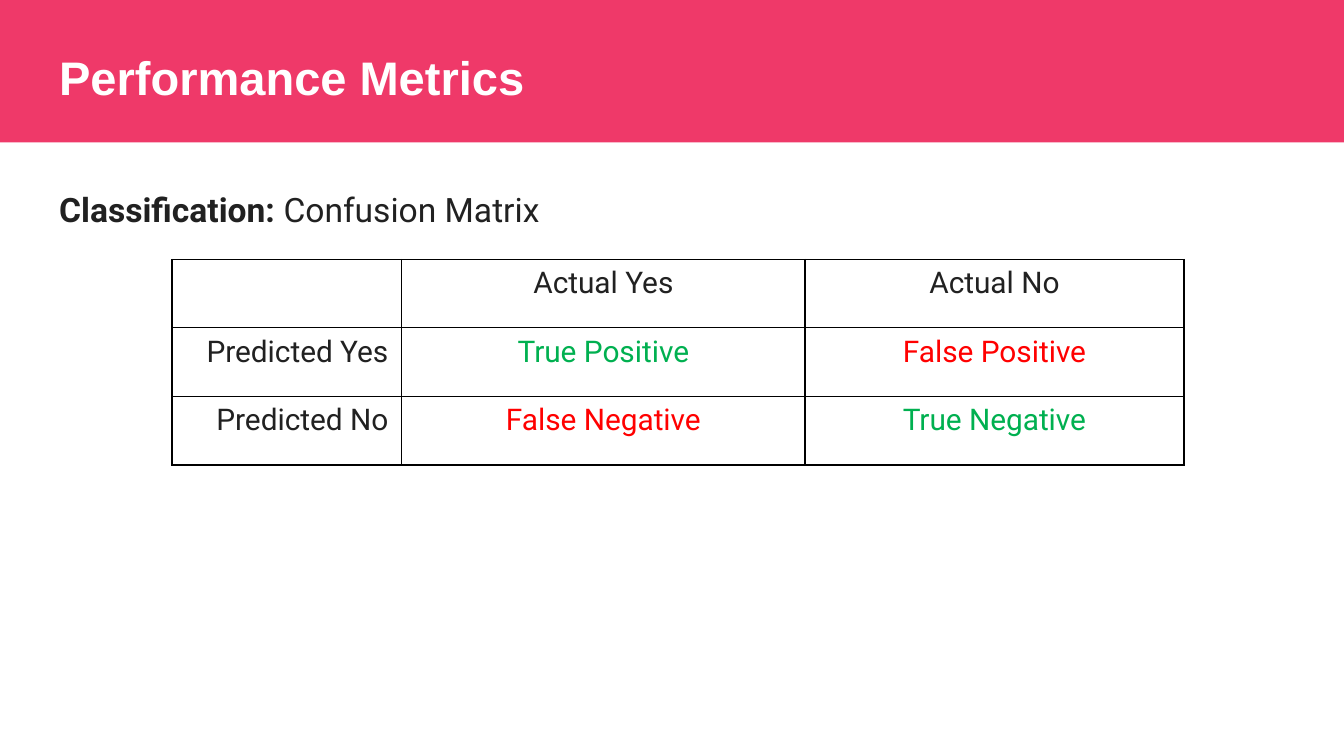
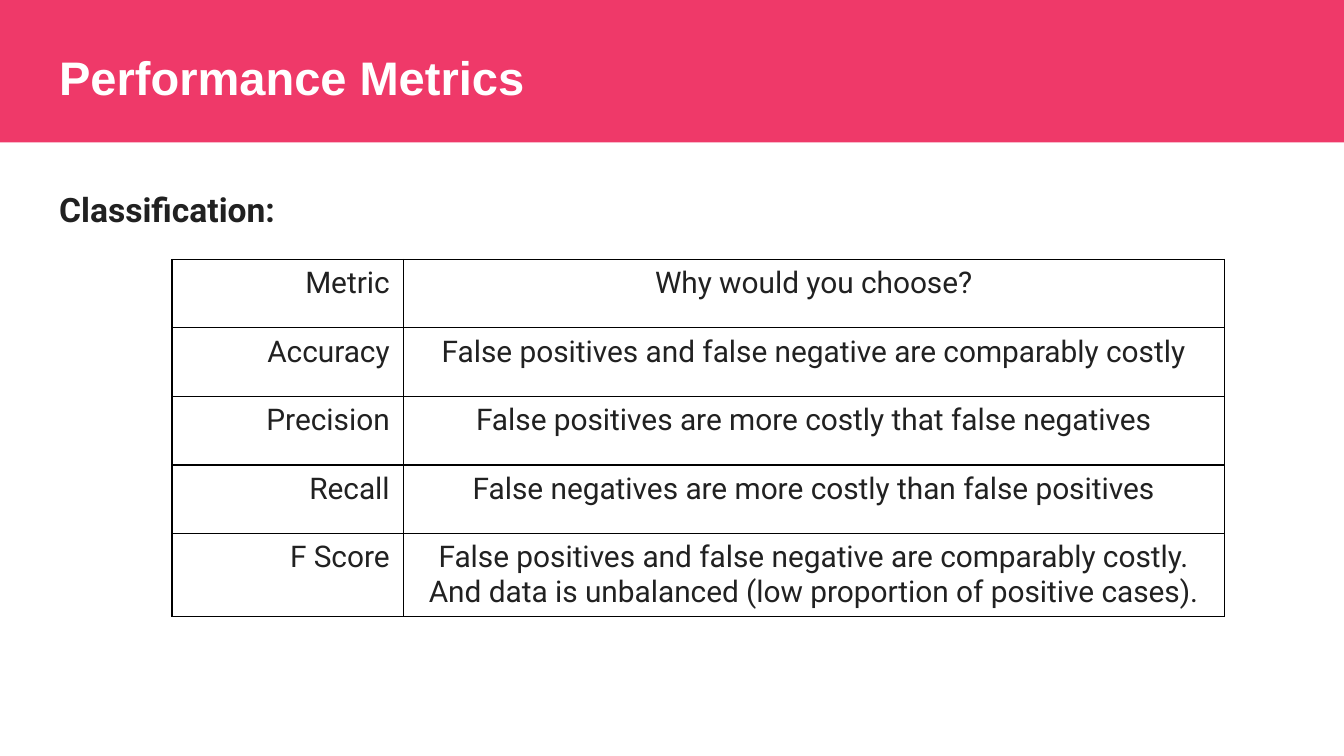
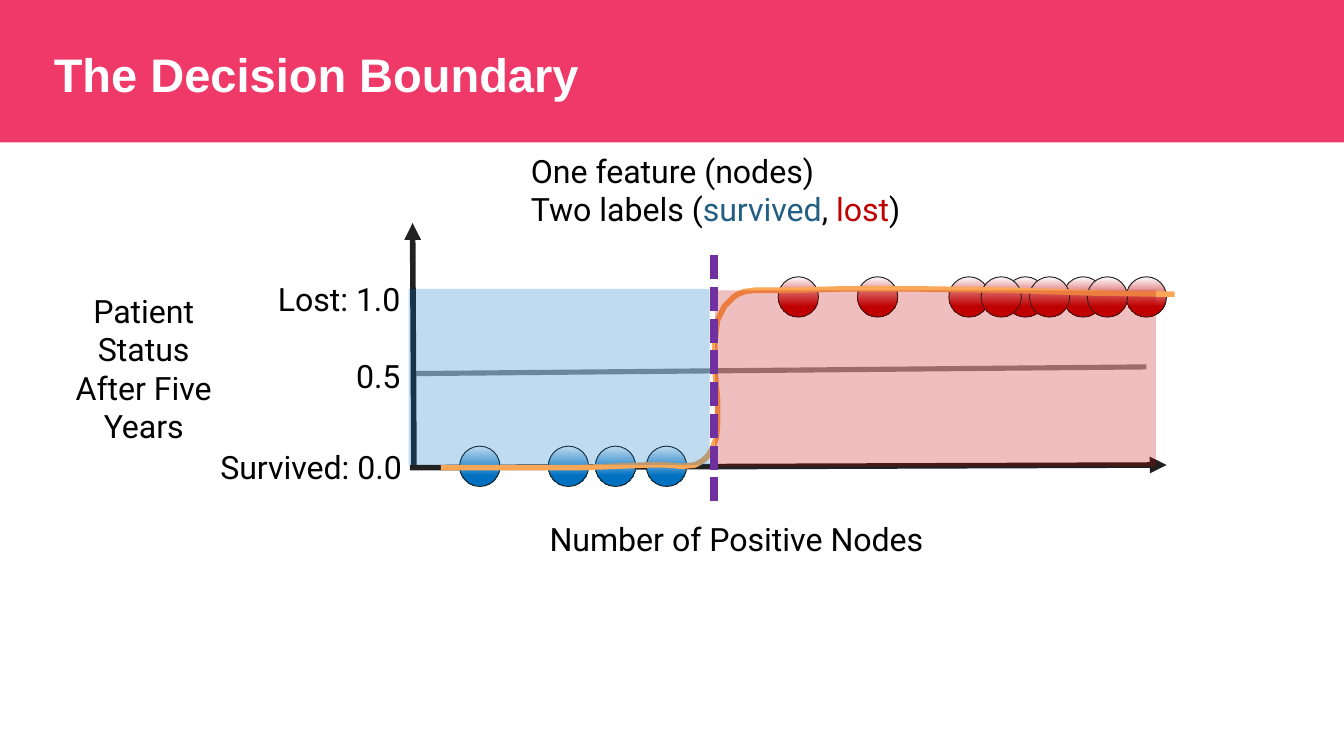
from dataclasses import dataclass

from lxml import etree
from pptx import Presentation
from pptx.dml.color import RGBColor
from pptx.enum.dml import MSO_LINE
from pptx.enum.shapes import MSO_CONNECTOR, MSO_SHAPE
from pptx.enum.text import MSO_ANCHOR, MSO_AUTO_SIZE, PP_ALIGN
from pptx.oxml.ns import qn
from pptx.util import Pt

PX = 9144  # one px is a hundredth of an inch
LEFT, CENTER, RIGHT = PP_ALIGN.LEFT, PP_ALIGN.CENTER, PP_ALIGN.RIGHT
RECTANGLE, OVAL = MSO_SHAPE.RECTANGLE, MSO_SHAPE.OVAL
SHORT_DASH = MSO_LINE.SQUARE_DOT


@dataclass(frozen=True)
class Theme:
    band: RGBColor = RGBColor(0xEF, 0x39, 0x69)
    white: RGBColor = RGBColor(0xFF, 0xFF, 0xFF)
    black: RGBColor = RGBColor(0, 0, 0)
    ink: RGBColor = RGBColor(0x21, 0x21, 0x21)
    right_answer: RGBColor = RGBColor(0, 0xB0, 0x50)
    wrong_answer: RGBColor = RGBColor(0xFF, 0, 0)
    survived: RGBColor = RGBColor(0, 0x70, 0xC0)
    survived_text: RGBColor = RGBColor(0x23, 0x5F, 0x83)
    lost: RGBColor = RGBColor(0xC0, 0, 0)
    threshold: RGBColor = RGBColor(0x90, 0x90, 0x90)
    curve: RGBColor = RGBColor(0xFA, 0xA7, 0x57)
    boundary: RGBColor = RGBColor(0x70, 0x30, 0xA0)
    title_font: str = "Arial"
    text_font: str = "Roboto"
    title_size: float = 25.2
    body_size: float = 18
    table_size: float = 16
    label_size: float = 17.2


theme = Theme()


def add_titled_slide(layout, title, left, top):
    slide = deck.slides.add_slide(layout)
    box = slide.shapes.title
    box.left, box.top, box.width, box.height = left * PX, top * PX, 932 * PX, 63 * PX
    frame = box.text_frame
    frame.text = title
    frame.auto_size = MSO_AUTO_SIZE.NONE
    frame.vertical_anchor = MSO_ANCHOR.BOTTOM
    frame.margin_left = frame.margin_right = frame.margin_top = frame.margin_bottom = 10 * PX
    para = frame.paragraphs[0]
    para.alignment = LEFT
    font = para.runs[0].font
    font.name, font.size, font.bold = theme.title_font, Pt(theme.title_size), True
    font.color.rgb = theme.white
    return slide


def add_line(slide, start, end, color, width, arrow=False, dash=None):
    ends = [value * PX for value in (*start, *end)]
    connector = slide.shapes.add_connector(MSO_CONNECTOR.STRAIGHT, *ends)
    connector.line.color.rgb = color
    connector.line.width = Pt(width)
    if dash:
        connector.line.dash_style = dash
    properties = connector.element.spPr
    if arrow:
        etree.SubElement(properties.find(qn("a:ln")), qn("a:tailEnd"), type="triangle")
    etree.SubElement(properties, qn("a:effectLst"))


deck = Presentation()
deck.slide_width = 1000 * PX
deck.slide_height = deck.slide_width * 9 // 16
title_and_body, title_only = deck.slide_layouts[1], deck.slide_layouts[5]

# Slides 1 and 2: a heading and a table
table_slides = [
    (["Classification: ", "Confusion Matrix"], 287, [171, 300, 282], [
        ["", "Actual Yes", "Actual No"],
        ["Predicted Yes", "True Positive", "False Positive"],
        ["Predicted No", "False Negative", "True Negative"],
    ]),
    (["Classification:"], 374, [172, 611], [
        ["Metric", "Why would you choose?"],
        ["Accuracy", "False positives and false negative are comparably costly"],
        ["Precision", "False positives are more costly that false negatives"],
        ["Recall", "False negatives are more costly than false positives"],
        ["F Score", "False positives and false negative are comparably costly. "
                    "And data is unbalanced (low proportion of positive cases)."],
    ]),
]
outcome_colors = {
    "True Positive": theme.right_answer, "True Negative": theme.right_answer,
    "False Positive": theme.wrong_answer, "False Negative": theme.wrong_answer,
}
row_height = 51

for heading, body_height, column_widths, rows in table_slides:
    slide = add_titled_slide(title_and_body, "Performance Metrics", 34, 25)

    body = slide.placeholders[1]
    body.left, body.top, body.width, body.height = 34 * PX, 126 * PX, 932 * PX, body_height * PX
    frame = body.text_frame
    frame.auto_size = MSO_AUTO_SIZE.NONE
    frame.vertical_anchor = MSO_ANCHOR.TOP
    frame.margin_left = frame.margin_right = frame.margin_top = frame.margin_bottom = 10 * PX
    para = frame.paragraphs[0]
    para.line_spacing, para.space_before = 1.15, Pt(16)
    paragraph_properties = para._p.get_or_add_pPr()
    paragraph_properties.set("marL", "0")
    paragraph_properties.set("indent", "0")
    etree.SubElement(paragraph_properties, qn("a:buNone"))
    for index, text in enumerate(heading):
        span = para.add_run()
        span.text = text
        span.font.name, span.font.size = theme.text_font, Pt(theme.body_size)
        span.font.bold = index == 0
        span.font.color.rgb = theme.ink

    table = slide.shapes.add_table(
        len(rows), len(column_widths), 128 * PX, 193 * PX,
        sum(column_widths) * PX, len(rows) * row_height * PX).table
    table.first_row = table.horz_banding = False
    for column, width in zip(table.columns, column_widths):
        column.width = width * PX
    for row_index, row in enumerate(rows):
        for column_index, text in enumerate(row):
            cell = table.cell(row_index, column_index)
            cell.text = text
            para = cell.text_frame.paragraphs[0]
            para.alignment = CENTER if column_index else RIGHT
            for span in para.runs:
                span.font.name, span.font.size = theme.text_font, Pt(theme.table_size)
                span.font.color.rgb = outcome_colors.get(text, theme.ink)
            cell_properties = cell._tc.get_or_add_tcPr()
            for side in ("a:lnL", "a:lnR", "a:lnT", "a:lnB"):
                border = etree.SubElement(cell_properties, qn(side), w=str(Pt(0.75)))
                fill = etree.SubElement(border, qn("a:solidFill"))
                etree.SubElement(fill, qn("a:srgbClr"), val=str(theme.black))
            cell.fill.background()

# Slide 3: the decision boundary
slide = add_titled_slide(title_only, "The Decision Boundary", 30, 23)

# The title band is moved to the master, behind its placeholders
band = slide.shapes.add_shape(RECTANGLE, 0, 0, deck.slide_width, 106 * PX)
band.shadow.inherit = False
band.fill.solid()
band.fill.fore_color.rgb = theme.band
band.line.fill.background()
band.element.nvSpPr.cNvPr.set("id", "20")
deck.slide_master.shapes.element.insert(2, band.element)

add_line(slide, (307, 278), (853, 273), theme.threshold, 2.75)
add_line(slide, (305, 348), (868, 346), theme.ink, 3, arrow=True)

patients = [
    (332, theme.survived, 0.73, [342, 408, 443, 481]),
    (206, theme.lost, 0.74, [579, 638, 706, 748, 791, 838, 766, 730, 809]),
]
for top, color, stop, lefts in patients:
    for left in lefts:
        dot = slide.shapes.add_shape(OVAL, left * PX, top * PX, 30 * PX, 30 * PX)
        dot.shadow.inherit = False
        dot.fill.gradient()
        dot.fill.gradient_angle = 270
        light, full = dot.fill.gradient_stops
        light.color.rgb, light.position = theme.white, 0
        full.color.rgb, full.position = color, stop
        dot.line.color.rgb = theme.ink
        dot.line.width = Pt(0.5)

add_line(slide, (308, 346), (307, 166), theme.ink, 3, arrow=True)

curve_points = [
    (874, 219), (812, 218), (751, 216), (683, 215), (626, 215), (592, 216), (562, 216),
    (554, 217), (549, 219), (546, 221), (543, 224), (539, 228), (536, 234), (534, 238),
    (533, 245), (532, 255), (532, 274), (533, 287), (534, 298), (534, 315), (533, 326),
    (530, 334), (527, 339), (524, 342), (521, 344), (517, 346), (508, 347), (495, 346),
    (482, 346), (457, 347), (430, 348), (328, 348),
]
builder = slide.shapes.build_freeform(*curve_points[0], scale=PX)
builder.add_line_segments(curve_points[1:], close=False)
curve = builder.convert_to_shape()
curve.shadow.inherit = False
curve.fill.background()
curve.line.color.rgb = theme.curve
curve.line.width = Pt(3)

for left, top, width, color in [(304, 215, 224, theme.survived), (532, 216, 328, theme.lost)]:
    region = slide.shapes.add_shape(RECTANGLE, left * PX, top * PX, width * PX, 131 * PX)
    region.shadow.inherit = False
    region.fill.solid()
    region.fill.fore_color.rgb = color
    etree.SubElement(region.element.find(".//" + qn("a:srgbClr")), qn("a:alpha"), val="25000")
    region.line.fill.background()

add_line(slide, (531, 373), (531, 186), theme.boundary, 4.25, dash=SHORT_DASH)

labels = [
    (408, 386, 328, 29, LEFT, ["Number of Positive Nodes"]),
    (147, 333, 152, 29, RIGHT, ["Survived: 0.0"]),
    (198, 208, 100, 29, RIGHT, ["Lost: 1.0"]),
    (198, 265, 100, 29, RIGHT, ["0.5"]),
    (40, 216, 133, 116, CENTER, ["Patient", "Status", "After Five Years"]),
    (394, 112, 328, 58, LEFT, ["One feature (nodes)", "Two labels (|survived|, |lost|)"]),
]
label_colors = {"survived": theme.survived_text, "lost": theme.lost}
for left, top, width, height, alignment, lines in labels:
    box = slide.shapes.add_textbox(left * PX, top * PX, width * PX, height * PX)
    frame = box.text_frame
    frame.word_wrap = True
    frame.auto_size = MSO_AUTO_SIZE.SHAPE_TO_FIT_TEXT
    frame.vertical_anchor = MSO_ANCHOR.MIDDLE
    frame.margin_left = frame.margin_right = frame.margin_top = frame.margin_bottom = 0
    for index, line in enumerate(lines):
        para = frame.add_paragraph() if index else frame.paragraphs[0]
        para.alignment = alignment
        para._p.get_or_add_pPr().set("marL", str(PX))
        for text in line.split("|"):
            span = para.add_run()
            span.text = text
            span.font.name, span.font.size = theme.text_font, Pt(theme.label_size)
            span.font.color.rgb = label_colors.get(text, theme.black)

deck.save("out.pptx")
